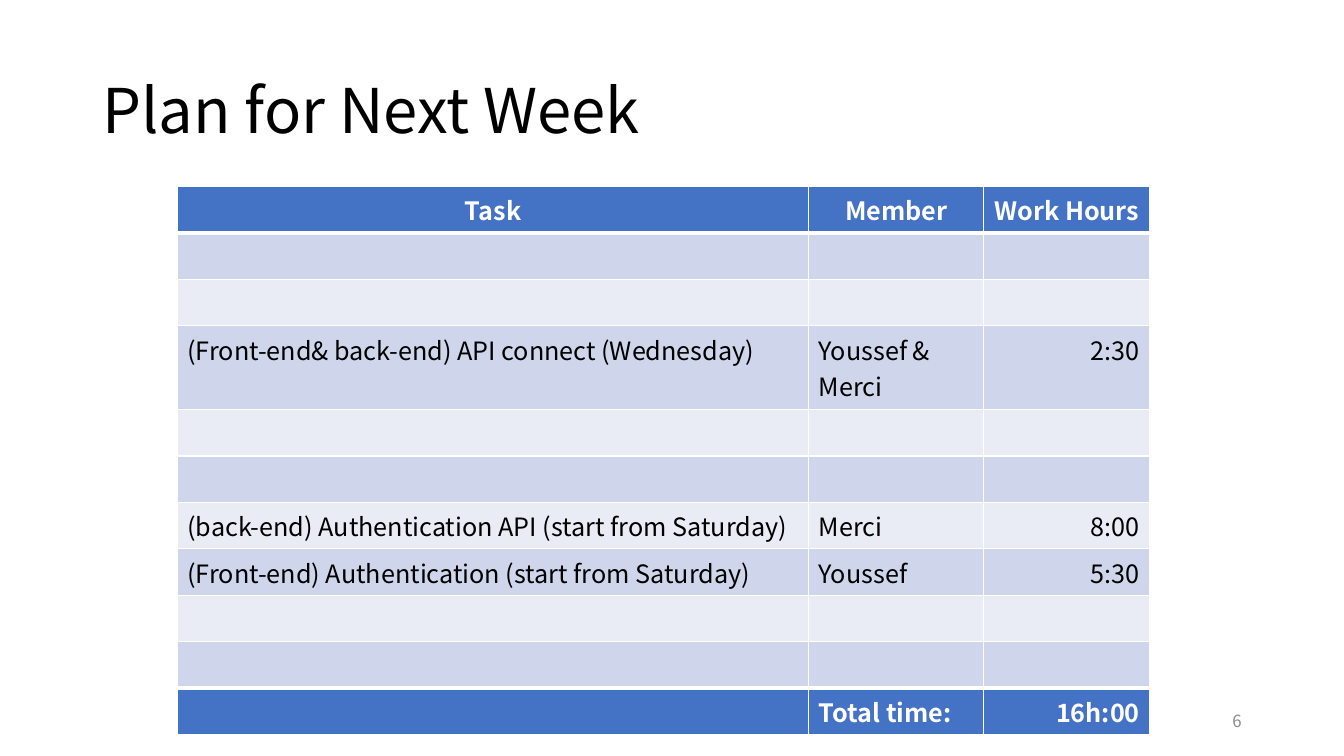
import pptx
import pptx.util
import pptx.dml.color
import pptx.enum.text
import pptx.oxml
import pptx.oxml.ns
from lxml import etree

Cm = pptx.util.Cm
Pt = pptx.util.Pt
RGB = pptx.dml.color.RGBColor
ALIGN = pptx.enum.text.PP_ALIGN
qn = pptx.oxml.ns.qn

FONT = "Noto Sans CJK JP"
BLACK = RGB(0x00, 0x00, 0x00)
WHITE = RGB(0xFF, 0xFF, 0xFF)
GREY = RGB(0x8C, 0x8C, 0x8C)
BLUE = RGB(0x44, 0x72, 0xC4)
BANDS = [RGB(0xE9, 0xEB, 0xF5), RGB(0xCF, 0xD5, 0xEA)]


def write(p, text, align, size, color, bold=False):
    p.alignment = align
    r = p.add_run()
    r.text = text
    r.font.color.rgb = color
    for name, value in {"name": FONT, "size": Pt(size), "bold": bold}.items():
        setattr(r.font, name, value)


def add_border(cell, side, width):
    ln = etree.SubElement(cell._tc.get_or_add_tcPr(), qn("a:ln" + side), w=str(Pt(width)))
    fill = etree.SubElement(ln, qn("a:solidFill"))
    etree.SubElement(fill, qn("a:srgbClr"), val=str(WHITE))


prs = pptx.Presentation()
prs.slide_width, prs.slide_height = Cm(33.87), Cm(19.05)
s = prs.slides.add_slide(prs.slide_layouts[6])

labels = [
    ("Plan for Next Week", (2.33, 1.01, 29.21, 3.68), ALIGN.LEFT, 44, BLACK, 0.9),
    ("6", (23.92, 17.66, 7.62, 1.01), ALIGN.RIGHT, 12, GREY, 1.0),
]
for text, box, align, size, color, spacing in labels:
    tf = s.shapes.add_textbox(*[Cm(v) for v in box]).text_frame
    tf.word_wrap = True
    tf.vertical_anchor = pptx.enum.text.MSO_ANCHOR.MIDDLE
    tf.paragraphs[0].line_spacing = spacing
    write(tf.paragraphs[0], text, align, size, color)

EMPTY = ("", "", "")
rows = [
    ("Task", "Member", "Work Hours"),
    EMPTY,
    EMPTY,
    ("(Front-end& back-end) API connect (Wednesday)", "Youssef & Merci", "2:30"),
    EMPTY,
    EMPTY,
    ("(back-end) Authentication API (start from Saturday)", "Merci", "8:00"),
    ("(Front-end) Authentication (start from Saturday)", "Youssef", "5:30"),
    EMPTY,
    EMPTY,
    ("", "Total time:", "16h:00"),
]
last = len(rows) - 1
table = s.shapes.add_table(len(rows), 3, Cm(4.47), Cm(4.7), Cm(24.51), Cm(13.81)).table
for column, width in zip(table.columns, (15.91, 4.41, 4.19)):
    column.width = Cm(width)

for i, texts in enumerate(rows):
    table.rows[i].height = Cm(2.11 if "&" in texts[1] else 1.17)
    strong = i in (0, last)
    for j, text in enumerate(texts):
        cell = table.cell(i, j)
        for side in "LRTB":
            thick = (i, side) in ((0, "B"), (1, "T"), (last - 1, "B"), (last, "T"))
            add_border(cell, side, 3 if thick else 1)
        cell.fill.solid()
        cell.fill.fore_color.rgb = BLUE if strong else BANDS[i % 2]
        p = cell.text_frame.paragraphs[0]
        if text:
            align = ALIGN.CENTER if i == 0 else ALIGN.RIGHT if j == 2 else ALIGN.LEFT
            write(p, text, align, 18, WHITE if strong else BLACK, strong)
        else:
            end = etree.SubElement(p._p, qn("a:endParaRPr"), sz="1800")
            etree.SubElement(end, qn("a:latin"), typeface=FONT)

prs.save("out.pptx")
